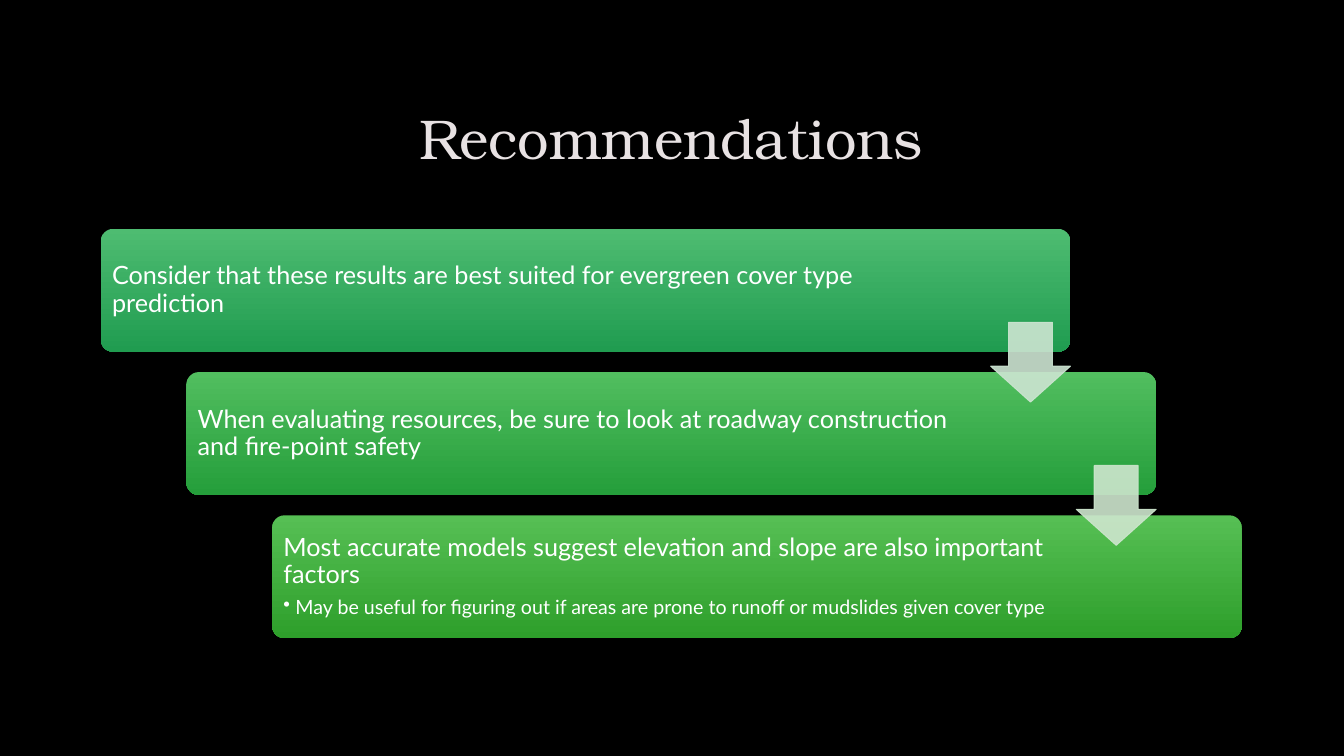
from dataclasses import dataclass

from lxml.etree import SubElement
from pptx import Presentation
from pptx.dml.color import RGBColor
from pptx.enum.shapes import MSO_SHAPE as Preset
from pptx.enum.text import MSO_ANCHOR as Anchor, PP_ALIGN as Align
from pptx.oxml.ns import qn
from pptx.shapes.autoshape import Shape
from pptx.slide import Slide
from pptx.text.text import TextFrame
from pptx.util import Pt

BLACK = RGBColor(0x00, 0x00, 0x00)
WHITE = RGBColor(0xFF, 0xFF, 0xFF)
TITLE_COLOR = RGBColor(0xE8, 0xE2, 0xE3)
TITLE_FONT = "TeX Gyre Bonum"
BODY_FONT = "Lato"

CARD_LEFT, CARD_TOP = 72, 163.5
CARD_WIDTH, CARD_HEIGHT = 692.6, 87.7
STEP_X, STEP_Y = 61.2, 102.3
TEXT_INSET = 2.6
ARROW_SIZE = 57
ARROW_DROP = 66.7
BULLET_INDENT = 8.6


@dataclass
class Recommendation:
    text: str
    text_width: float
    top_color: RGBColor
    bottom_color: RGBColor
    arrow_color: RGBColor | None = None
    detail: str = ""


RECOMMENDATIONS = [
    Recommendation(
        "Consider that these results are best suited for evergreen cover type prediction",
        598.3, RGBColor(0x4E, 0xBC, 0x71), RGBColor(0x20, 0x9C, 0x50),
        arrow_color=RGBColor(0xCD, 0xE5, 0xD2)),
    Recommendation(
        "When evaluating resources, be sure to look at roadway construction and fire-point safety",
        569.5, RGBColor(0x51, 0xBE, 0x5F), RGBColor(0x25, 0x9E, 0x3B),
        arrow_color=RGBColor(0xCE, 0xE6, 0xCE)),
    Recommendation(
        "Most accurate models suggest elevation and slope are also important factors",
        569.5, RGBColor(0x56, 0xBF, 0x54), RGBColor(0x2E, 0x9F, 0x2B),
        detail="May be useful for figuring out if areas are prone to runoff "
               "or mudslides given cover type"),
]


def write(frame: TextFrame, text: str, *, size: float, font: str = BODY_FONT,
          color: RGBColor = WHITE, align: Align = Align.LEFT, spacing: float = 0.9,
          after: float = 0, bullet: bool = False) -> None:
    para = frame.paragraphs[0] if not frame.text else frame.add_paragraph()
    if bullet:
        para.level = 1
        properties = para._p.get_or_add_pPr()
        properties.set("marL", str(Pt(BULLET_INDENT)))
        properties.set("indent", str(-Pt(BULLET_INDENT)))
        SubElement(properties, qn("a:buChar")).set("char", "•")
    para.alignment = align
    para.line_spacing = spacing
    para.space_before = Pt(0)
    para.space_after = Pt(after)
    span = para.add_run()
    span.text = text
    span.font.name = font
    span.font.size = Pt(size)
    span.font.color.rgb = color


def add_title(page: Slide, text: str) -> None:
    title = page.shapes.title
    title.left, title.top, title.width, title.height = Pt(72), Pt(48), Pt(815), Pt(99.4)
    title.text_frame.vertical_anchor = Anchor.MIDDLE
    write(title.text_frame, text, size=40, font=TITLE_FONT, color=TITLE_COLOR,
          align=Align.CENTER, spacing=1.0)


def add_card(page: Slide, item: Recommendation, left: float, top: float) -> None:
    card = page.shapes.add_shape(Preset.ROUNDED_RECTANGLE, Pt(left), Pt(top),
                                 Pt(CARD_WIDTH), Pt(CARD_HEIGHT))
    card.adjustments[0] = 0.1
    card.shadow.inherit = False
    card.line.fill.background()
    card.fill.gradient()
    card.fill.gradient_angle = 270
    for stop, color, position in zip(card.fill.gradient_stops,
                                     (item.top_color, item.bottom_color), (0, 1)):
        stop.color.rgb = color
        stop.position = position

    box = page.shapes.add_textbox(Pt(left + TEXT_INSET), Pt(top + TEXT_INSET),
                                  Pt(item.text_width), Pt(CARD_HEIGHT - 2 * TEXT_INSET))
    frame = box.text_frame
    frame.word_wrap = True
    frame.vertical_anchor = Anchor.MIDDLE
    frame.margin_left = frame.margin_right = Pt(5.4)
    frame.margin_top = frame.margin_bottom = Pt(5.4)
    write(frame, item.text, size=18, after=6.3)
    if item.detail:
        write(frame, item.detail, size=14, after=2.1, bullet=True)


def set_opacity(shape: Shape, percent: int) -> None:
    for color in shape._element.spPr.iter(qn("a:srgbClr")):
        SubElement(color, qn("a:alpha")).set("val", str(percent * 1000))


def add_arrow(page: Slide, color: RGBColor, left: float, top: float) -> None:
    arrow = page.shapes.add_shape(Preset.DOWN_ARROW, Pt(left), Pt(top),
                                  Pt(ARROW_SIZE), Pt(ARROW_SIZE))
    arrow.adjustments[0] = 0.55
    arrow.adjustments[1] = 0.45
    arrow.shadow.inherit = False
    arrow.fill.solid()
    arrow.fill.fore_color.rgb = color
    arrow.line.color.rgb = color
    arrow.line.width = Pt(0.75)
    set_opacity(arrow, 90)


def main() -> None:
    deck = Presentation()
    deck.slide_width, deck.slide_height = Pt(960), Pt(540)
    page = deck.slides.add_slide(deck.slide_layouts.get_by_name("Title Only"))
    page.background.fill.solid()
    page.background.fill.fore_color.rgb = BLACK

    add_title(page, "Recommendations")
    corners = [(CARD_LEFT + index * STEP_X, CARD_TOP + index * STEP_Y)
               for index in range(len(RECOMMENDATIONS))]
    for item, (left, top) in zip(RECOMMENDATIONS, corners):
        add_card(page, item, left, top)
    for item, (left, top) in zip(RECOMMENDATIONS, corners):
        if item.arrow_color is not None:
            add_arrow(page, item.arrow_color,
                      left + CARD_WIDTH - ARROW_SIZE, top + ARROW_DROP)
    deck.save("out.pptx")


if __name__ == "__main__":
    main()
